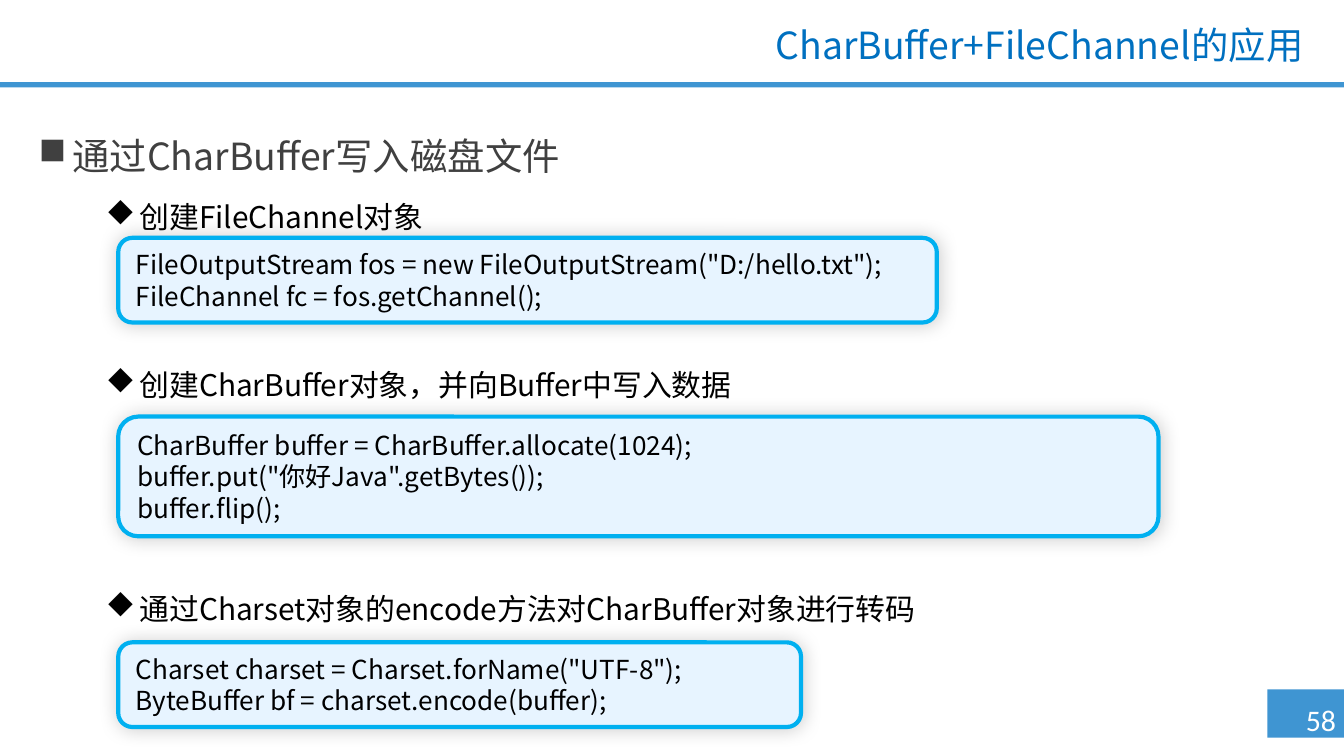
from dataclasses import dataclass
from lxml.etree import SubElement
from pptx import Presentation
from pptx.dml.color import RGBColor
from pptx.enum.shapes import MSO_SHAPE
from pptx.enum.text import MSO_ANCHOR, PP_ALIGN
from pptx.oxml.ns import qn
from pptx.util import Inches, Pt


@dataclass(frozen=True)
class Theme:
    blue: str = "3F95D2"
    head: str = "0070C0"
    gray: str = "404040"
    black: str = "000000"
    white: str = "FFFFFF"
    pale: str = "E7F4FF"
    edge: str = "00B0F0"
    face: str = "Noto Sans CJK SC"
    digit: str = "Calibri"
    large: int = 20
    mid: int = 16
    small: int = 14


THEME = Theme()
WIDE = Inches(10)
HIGH = WIDE * 9 // 16
UNIT = WIDE // 100
LEAD = 25
STEP = 30
SQUARE, DIAMOND = "n", "u"

POINTS = [
    ("创建FileChannel对象", 0),
    ("创建CharBuffer对象，并向Buffer中写入数据", 2),
    ("通过Charset对象的encode方法对CharBuffer对象进行转码", 3),
]
CODES = [
    (17.7, 60.9, ['FileOutputStream fos = new FileOutputStream("D:/hello.txt");',
                  "FileChannel fc = fos.getChannel();"]),
    (31, 77.4, ["CharBuffer buffer = CharBuffer.allocate(1024);",
                'buffer.put("你好Java".getBytes());',
                "buffer.flip();"]),
    (47.8, 50.8, ['Charset charset = Charset.forName("UTF-8");',
                  "ByteBuffer bf = charset.encode(buffer);"]),
]


def grid(*cells):
    return [round(cell * UNIT) for cell in cells]


def apply(item, values):
    for name, value in values.items():
        setattr(item, name, value)


def write(para, text, size, color, face=THEME.face, **values):
    apply(para, values)
    run = para.add_run()
    run.text = text
    apply(run.font, {"size": Pt(size), "name": face})
    run.font.color.rgb = RGBColor.from_string(color)
    SubElement(run.font._element, qn("a:ea"), typeface=face)


def mark(para, sign, left):
    props = para._p.get_or_add_pPr()
    props.set("marL", str(Inches(left)))
    props.set("indent", str(Inches(-0.25)))
    SubElement(props, qn("a:buFont"), typeface="Wingdings", charset="2")
    SubElement(props, qn("a:buChar"), char=sign)


def block(slide, box, fill, kind=MSO_SHAPE.RECTANGLE):
    shape = slide.shapes.add_shape(kind, *box)
    shape.shadow.inherit = False
    shape.fill.solid()
    shape.fill.fore_color.rgb = RGBColor.from_string(fill)
    shape.line.fill.background()
    return shape


def header(slide, box):
    left, top, width, height = box
    block(slide, (left, round(top + height * 0.94), width, round(height * 0.06)),
          THEME.blue)
    title = slide.shapes.title
    apply(title, {"left": round(left + width * 0.24), "top": round(top + height * 0.23),
                  "width": round(width * 0.74), "height": round(height * 0.63)})
    apply(title.text_frame, {"word_wrap": True, "vertical_anchor": MSO_ANCHOR.MIDDLE})
    write(title.text_frame.paragraphs[0], "CharBuffer+FileChannel的应用",
          THEME.large, THEME.head, alignment=PP_ALIGN.RIGHT, line_spacing=0.9)


def outline(slide, box):
    frame = slide.shapes.add_textbox(*box).text_frame
    frame.word_wrap = True
    para = frame.paragraphs[0]
    mark(para, SQUARE, 0.25)
    write(para, "通过CharBuffer写入磁盘文件", THEME.large, THEME.gray,
          line_spacing=Pt(LEAD))
    for text, gap in POINTS:
        para = frame.add_paragraph()
        mark(para, DIAMOND, 0.75)
        write(para, text, THEME.mid, THEME.black, level=1,
              line_spacing=Pt(LEAD), space_before=Pt(STEP * (gap + 1) - LEAD))


def glow(shape):
    effect = shape._element.spPr.find(qn("a:effectLst"))
    outer = SubElement(effect, qn("a:outerShdw"), blurRad=str(Pt(10)),
                       dist="0", dir="0", algn="ctr", rotWithShape="0")
    color = SubElement(outer, qn("a:srgbClr"), val=THEME.black)
    SubElement(color, qn("a:alpha"), val="20000")


def code(slide, box, lines):
    shape = block(slide, box, THEME.pale, MSO_SHAPE.ROUNDED_RECTANGLE)
    shape.line.color.rgb = RGBColor.from_string(THEME.edge)
    shape.line.width = Pt(2.25)
    glow(shape)
    frame = shape.text_frame
    apply(frame, {"word_wrap": True, "vertical_anchor": MSO_ANCHOR.MIDDLE})
    for row, text in enumerate(lines):
        para = frame.add_paragraph() if row else frame.paragraphs[0]
        write(para, text, THEME.small, THEME.black, alignment=PP_ALIGN.LEFT)


def folio(slide, box):
    left, top, width, height = box
    block(slide, box, THEME.blue)
    label = slide.shapes.add_textbox(round(left + width * 0.25), round(top + height * 0.11),
                                     round(width * 0.9), height)
    label.text_frame.word_wrap = False
    write(label.text_frame.paragraphs[0], "58", THEME.mid, THEME.white,
          THEME.digit, alignment=PP_ALIGN.CENTER)


def main():
    deck = Presentation()
    apply(deck, {"slide_width": WIDE, "slide_height": HIGH})
    slide = deck.slides.add_slide(deck.slide_layouts[5])
    folio(slide, grid(94.3, 51.3, 5.7, 3.6))
    header(slide, grid(0, 0, 100, 6.5))
    outline(slide, grid(1.9, 9.3, 91.3, 4.6))
    for top, width, lines in CODES:
        code(slide, grid(8.8, top, width, 1.1 + 2.6 * len(lines)), lines)
    deck.save("out.pptx")


if __name__ == "__main__":
    main()
